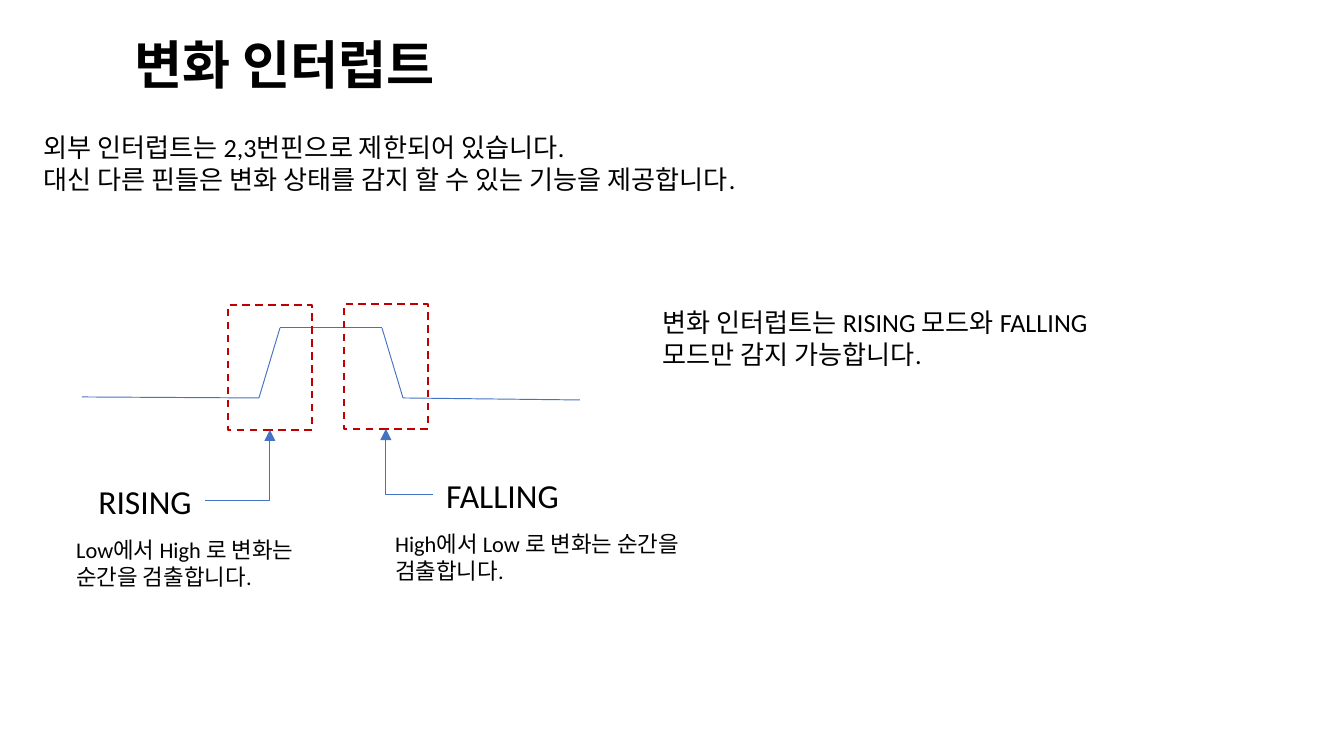
from dataclasses import dataclass
from itertools import pairwise

from lxml import etree
from pptx import Presentation
from pptx.dml.color import RGBColor
from pptx.enum.dml import MSO_LINE
from pptx.enum.shapes import MSO_CONNECTOR, MSO_SHAPE
from pptx.enum.text import MSO_AUTO_SIZE, PP_ALIGN
from pptx.oxml.ns import qn
from pptx.util import Emu, Pt

STRAIGHT = MSO_CONNECTOR.STRAIGHT
ELBOW = MSO_CONNECTOR.ELBOW
RECTANGLE = MSO_SHAPE.RECTANGLE
DASH = MSO_LINE.DASH
GROW = MSO_AUTO_SIZE.SHAPE_TO_FIT_TEXT
LEFT = PP_ALIGN.LEFT
RIGHT = PP_ALIGN.RIGHT
LEFT_SIDE, BOTTOM_SIDE, RIGHT_SIDE = 1, 2, 3
EMU_PER_PX = 914400 / 134.4


@dataclass(frozen=True)
class Theme:
    font: str = "Calibri"
    ink: RGBColor = RGBColor(0x00, 0x00, 0x00)
    signal: RGBColor = RGBColor(0x44, 0x72, 0xC4)
    marker: RGBColor = RGBColor(0xC0, 0x00, 0x00)
    title: int = 28
    label: int = 18
    body: int = 14
    note: int = 12
    signal_width: float = 0.5
    marker_width: float = 1


THEME = Theme()


def px(length):
    return Emu(round(length * EMU_PER_PX))


def add_text(slide, bounds, lines, size, bold=False, align=LEFT):
    box = slide.shapes.add_textbox(*map(px, bounds))
    frame = box.text_frame
    frame.word_wrap = True
    frame.auto_size = GROW
    for index, line in enumerate(lines):
        paragraph = frame.add_paragraph() if index else frame.paragraphs[0]
        paragraph.alignment = align
        run = paragraph.add_run()
        run.text = line
        run.font.name = THEME.font
        run.font.size = Pt(size)
        run.font.bold = bold
        run.font.color.rgb = THEME.ink
    return box


def add_line(slide, start, end, kind=STRAIGHT):
    line = slide.shapes.add_connector(kind, *map(px, (*start, *end)))
    line.line.color.rgb = THEME.signal
    line.line.width = Pt(THEME.signal_width)
    etree.SubElement(line._element.spPr, qn("a:effectLst"))
    return line


def add_edge_marker(slide, bounds):
    marker = slide.shapes.add_shape(RECTANGLE, *map(px, bounds))
    marker.shadow.inherit = False
    marker.fill.background()
    marker.line.color.rgb = THEME.marker
    marker.line.width = Pt(THEME.marker_width)
    marker.line.dash_style = DASH
    return marker


def add_pointer(slide, label, label_side, marker):
    pointer = add_line(slide, (0, 0), (0, 0), ELBOW)
    pointer.begin_connect(label, label_side)
    pointer.end_connect(marker, BOTTOM_SIDE)
    properties = pointer._element.spPr
    properties.find(qn("a:prstGeom")).set("prst", "bentConnector2")
    outline = properties.find(qn("a:ln"))
    etree.SubElement(outline, qn("a:tailEnd"), type="triangle")


def main():
    deck = Presentation()
    deck.slide_width, deck.slide_height = px(1344), px(756)
    slide = deck.slides.add_slide(deck.slide_layouts[6])

    add_text(slide, (121, 26, 719, 77), ["변화 인터럽트"], THEME.title, bold=True)
    add_text(slide, (30, 125, 1259, 77), [
        "외부 인터럽트는 2,3번핀으로 제한되어 있습니다.",
        "대신 다른 핀들은 변화 상태를 감지 할 수 있는 기능을 제공합니다.",
    ], THEME.body)
    add_text(slide, (649, 300, 524, 77),
             ["변화 인터럽트는 RISING 모드와 FALLING 모드만 감지 가능합니다."], THEME.body)

    pulse = [(82, 397), (259, 398), (280, 328), (382, 328), (403, 398), (580, 400)]
    for start, end in pairwise(pulse):
        add_line(slide, start, end)

    edges = [
        ("RISING", (63, 474, 142, 54), RIGHT, RIGHT_SIDE, (228, 305, 84, 125),
         "Low에서 High 로 변화는 순간을 검출합니다.", (63, 530, 300, 67)),
        ("FALLING", (433, 468, 364, 54), LEFT, LEFT_SIDE, (344, 304, 84, 125),
         "High에서 Low 로 변화는 순간을 검출합니다.", (382, 524, 325, 67)),
    ]
    for mode, label_bounds, align, side, marker_bounds, note, note_bounds in edges:
        label = add_text(slide, label_bounds, [mode], THEME.label, align=align)
        add_text(slide, note_bounds, [note], THEME.note)
        marker = add_edge_marker(slide, marker_bounds)
        add_pointer(slide, label, side, marker)

    deck.save("out.pptx")


if __name__ == "__main__":
    main()
